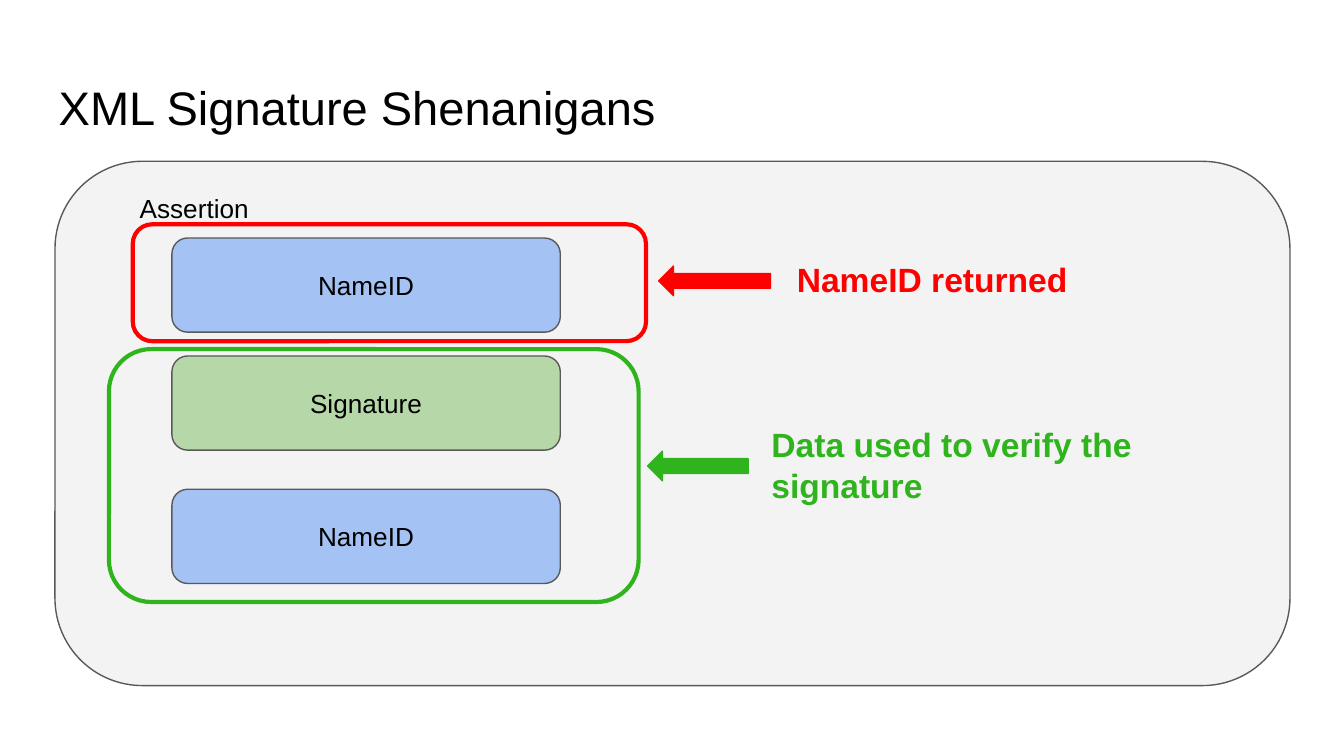
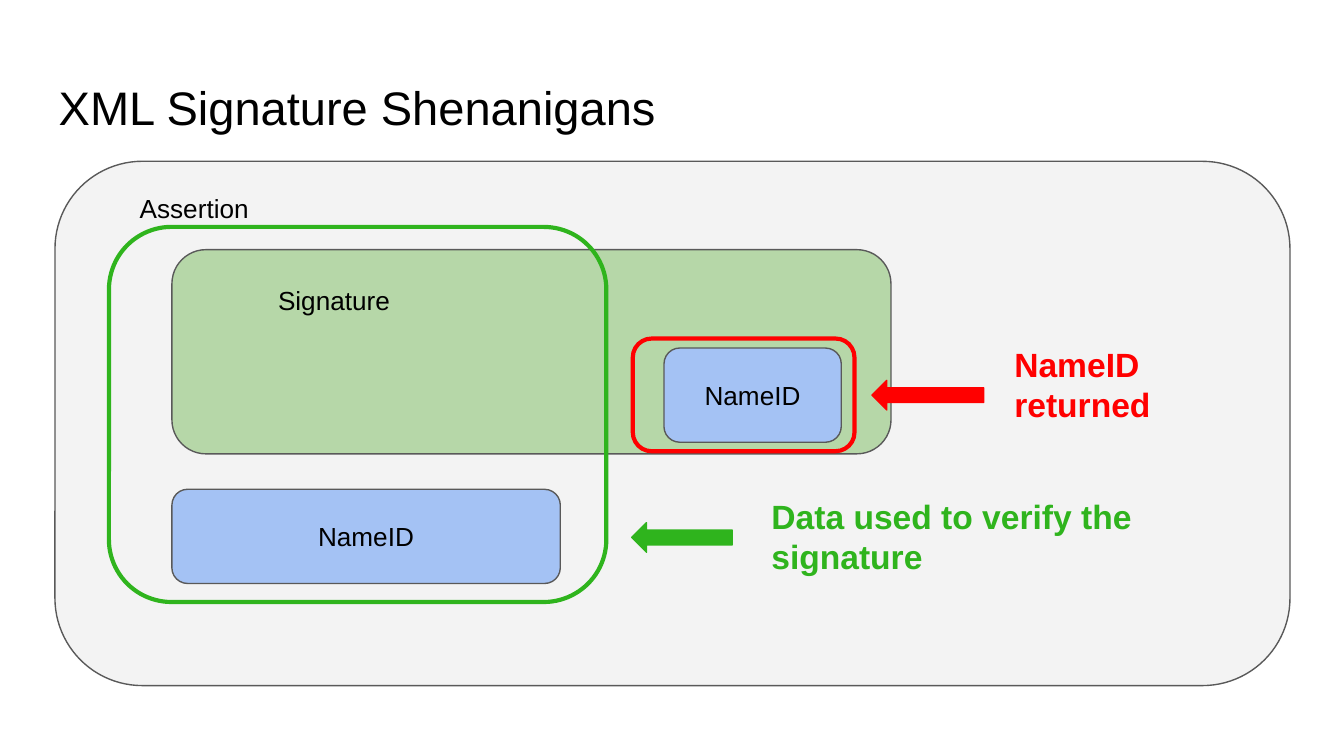
from dataclasses import dataclass
from typing import NamedTuple, Optional

import pptx
import pptx.dml.color
import pptx.enum.shapes
import pptx.enum.text
import pptx.util

Cm = pptx.util.Cm
Pt = pptx.util.Pt
Color = pptx.dml.color.RGBColor
Preset = pptx.enum.shapes.MSO_SHAPE
Align = pptx.enum.text.PP_ALIGN
Anchor = pptx.enum.text.MSO_ANCHOR


@dataclass(frozen=True)
class Theme:
    font: str = "Arial"
    ink: Color = Color.from_string("000000")
    border: Color = Color.from_string("595959")
    panel: Color = Color.from_string("F3F3F3")
    name_id: Color = Color.from_string("A4C2F4")
    signature: Color = Color.from_string("B6D7A8")
    returned: Color = Color.from_string("FF0000")
    verified: Color = Color.from_string("2FB41D")
    title_size: float = 25.2
    label_size: float = 14
    note_size: float = 18
    thin: float = 0.75
    thick: float = 2.25


THEME = Theme()


class Area(NamedTuple):
    """A rectangle in centimetres."""
    left: float
    top: float
    width: float
    height: float

    def lengths(self) -> list:
        return [Cm(value) for value in self]


@dataclass(frozen=True)
class Block:
    """A filled part of the assertion."""
    area: Area
    fill: Color
    text: str = ""


@dataclass(frozen=True)
class Callout:
    """A coloured frame with the arrow and the note that explain it."""
    color: Color
    text: str
    frame: Area
    arrow: Area
    note: Area


@dataclass(frozen=True)
class Diagram:
    blocks: list[Block]
    callouts: list[Callout]
    signature_label: Optional[Area] = None


TITLE = "XML Signature Shenanigans"
TITLE_AREA = Area(0.86, 1.24, 23.67, 1.6)
PANEL_AREA = Area(1.04, 3.05, 23.34, 9.91)
ASSERTION_AREA = Area(2.39, 3.38, 2.84, 1.12)

RETURNED_TEXT = "NameID returned"
VERIFIED_TEXT = "Data used to verify the signature"
ROW_LEFT, ROW_WIDTH, ROW_HEIGHT = 3.25, 7.34, 1.78
VERIFIED_LEFT, NOTE_LEFT = 2.06, 14.33
NOTE_WIDTH, ONE_LINE, TWO_LINES = 9.53, 1.27, 2.06
RETURNED_ARROW, VERIFIED_ARROW, ARROW_HEIGHT = 2.11, 1.9, 0.56


def row(top: float) -> Area:
    return Area(ROW_LEFT, top, ROW_WIDTH, ROW_HEIGHT)


SIGNED_NAME_ID = Block(row(9.25), THEME.name_id, "NameID")

DIAGRAMS = [
    Diagram(
        blocks=[
            Block(row(4.5), THEME.name_id, "NameID"),
            Block(row(6.73), THEME.signature, "Signature"),
            SIGNED_NAME_ID,
        ],
        callouts=[
            Callout(THEME.returned, RETURNED_TEXT,
                    frame=Area(2.51, 4.24, 9.7, 2.21),
                    arrow=Area(12.45, 5.03, RETURNED_ARROW, ARROW_HEIGHT),
                    note=Area(14.81, 4.65, NOTE_WIDTH, ONE_LINE)),
            Callout(THEME.verified, VERIFIED_TEXT,
                    frame=Area(VERIFIED_LEFT, 6.6, 10.01, 4.78),
                    arrow=Area(12.24, 8.53, VERIFIED_ARROW, ARROW_HEIGHT),
                    note=Area(NOTE_LEFT, 7.77, NOTE_WIDTH, TWO_LINES)),
        ],
    ),
    Diagram(
        blocks=[
            Block(Area(ROW_LEFT, 4.72, 13.59, 3.86), THEME.signature),
            Block(Area(12.55, 6.58, 3.35, ROW_HEIGHT), THEME.name_id, "NameID"),
            SIGNED_NAME_ID,
        ],
        callouts=[
            Callout(THEME.returned, RETURNED_TEXT,
                    frame=Area(11.96, 6.4, 4.19, 2.13),
                    arrow=Area(16.48, 7.19, RETURNED_ARROW, ARROW_HEIGHT),
                    note=Area(18.92, 6.25, 4.93, TWO_LINES)),
            Callout(THEME.verified, VERIFIED_TEXT,
                    frame=Area(VERIFIED_LEFT, 4.29, 9.4, 7.09),
                    arrow=Area(11.94, 9.88, VERIFIED_ARROW, ARROW_HEIGHT),
                    note=Area(NOTE_LEFT, 9.12, NOTE_WIDTH, TWO_LINES)),
        ],
        signature_label=Area(4.22, 5.13, 4.19, 1.12),
    ),
]


def write(box, text: str, *, size: float = THEME.label_size,
          color: Color = THEME.ink, bold: bool = False,
          align: Align = Align.LEFT, anchor: Anchor = Anchor.TOP) -> None:
    frame = box.text_frame
    frame.word_wrap = True
    frame.vertical_anchor = anchor
    frame.margin_left = frame.margin_right = Cm(0.25)
    frame.margin_top = frame.margin_bottom = Cm(0.25)
    para = frame.paragraphs[0]
    para.alignment = align
    span = para.add_run()
    span.text = text
    span.font.name = THEME.font
    span.font.size = Pt(size)
    span.font.bold = bold
    span.font.color.rgb = color


def add_text(page, area: Area, text: str, **style) -> None:
    write(page.shapes.add_textbox(*area.lengths()), text, **style)


def add_figure(page, preset: Preset, area: Area, *, fill: Optional[Color] = None,
               line: Color = THEME.border, weight: float = THEME.thin):
    """Draw a preset shape; without a fill only its outline shows."""
    figure = page.shapes.add_shape(preset, *area.lengths())
    figure.shadow.inherit = False
    if fill is None:
        figure.fill.background()
    else:
        figure.fill.solid()
        figure.fill.fore_color.rgb = fill
    figure.line.color.rgb = line
    figure.line.width = Pt(weight)
    return figure


def add_block(page, block: Block) -> None:
    box = add_figure(page, Preset.ROUNDED_RECTANGLE, block.area, fill=block.fill)
    if block.text:
        write(box, block.text, align=Align.CENTER, anchor=Anchor.MIDDLE)


def add_callout(page, callout: Callout) -> None:
    add_figure(page, Preset.ROUNDED_RECTANGLE, callout.frame,
               line=callout.color, weight=THEME.thick)
    add_figure(page, Preset.LEFT_ARROW, callout.arrow,
               fill=callout.color, line=callout.color)
    add_text(page, callout.note, callout.text, size=THEME.note_size,
             color=callout.color, bold=True)


def add_page(deck, diagram: Diagram) -> None:
    page = deck.slides.add_slide(deck.slide_layouts[6])
    add_text(page, TITLE_AREA, TITLE, size=THEME.title_size)
    add_block(page, Block(PANEL_AREA, THEME.panel))
    add_text(page, ASSERTION_AREA, "Assertion")
    for block in diagram.blocks:
        add_block(page, block)
    if diagram.signature_label:
        add_text(page, diagram.signature_label, "Signature", align=Align.CENTER)
    for callout in diagram.callouts:
        add_callout(page, callout)


def main() -> None:
    deck = pptx.Presentation()
    deck.slide_width = Cm(25.4)
    deck.slide_height = Cm(14.29)
    for diagram in DIAGRAMS:
        add_page(deck, diagram)
    deck.save("out.pptx")


if __name__ == "__main__":
    main()
